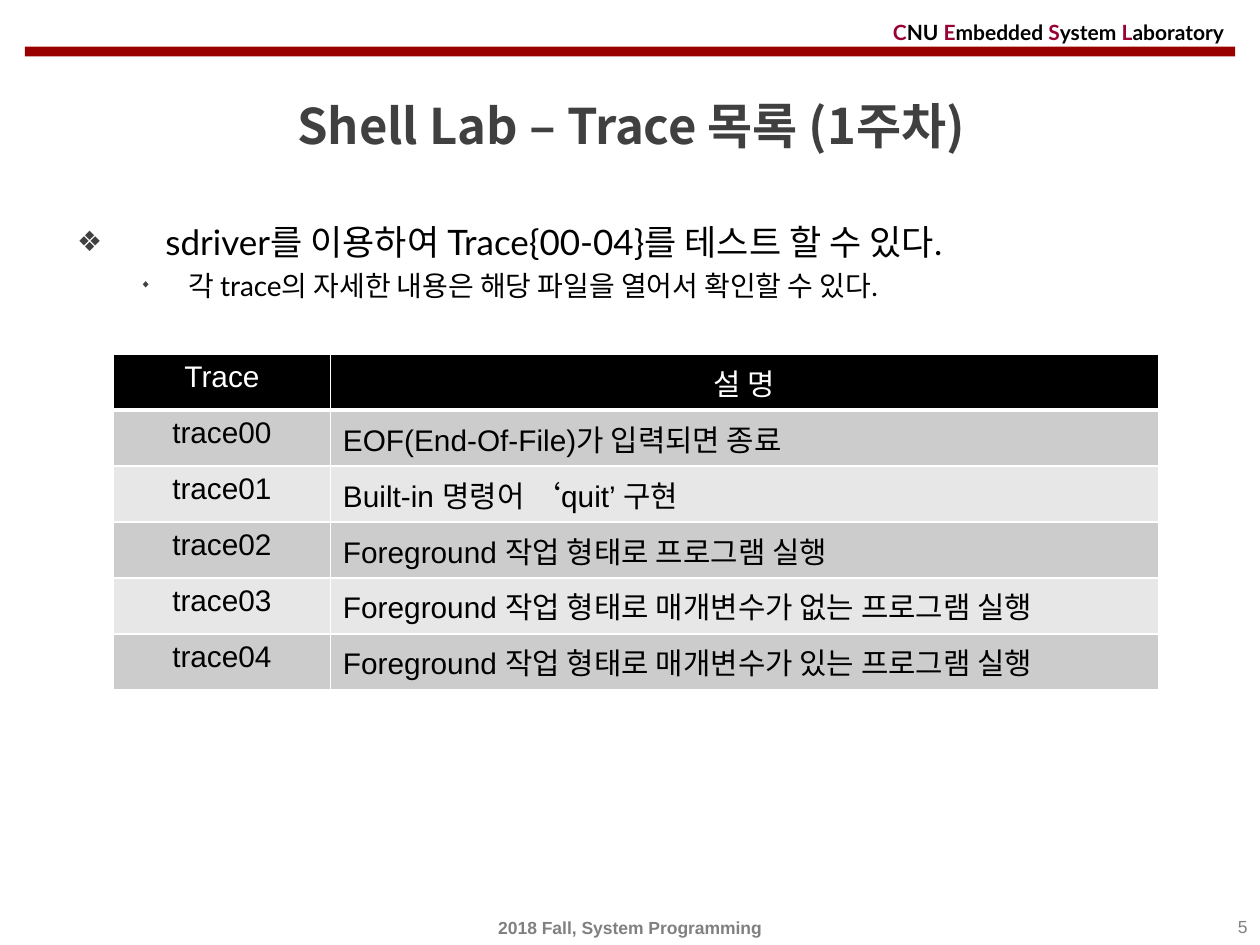
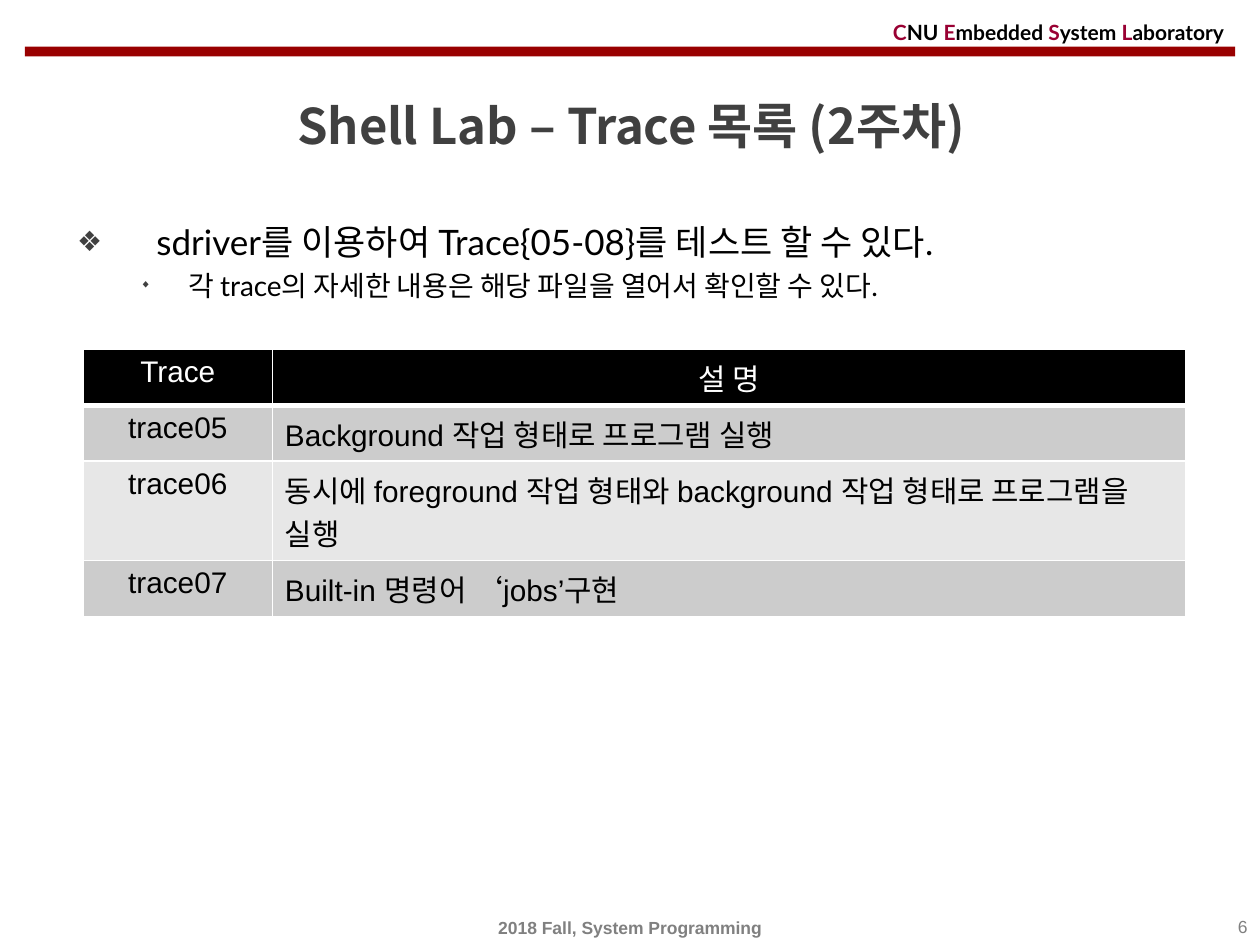
"""Build the two Shell Lab trace list slides."""
from dataclasses import dataclass

from lxml.etree import SubElement
from pptx import Presentation
from pptx.dml.color import RGBColor as Color
from pptx.enum.shapes import MSO_SHAPE as Shape
from pptx.enum.text import MSO_ANCHOR as Anchor, MSO_AUTO_SIZE as AutoSize, PP_ALIGN as Align
from pptx.oxml.ns import qn
from pptx.util import Cm, Pt


@dataclass(frozen=True)
class Theme:
    band: str = "990000"
    initial: str = "990033"
    heading: str = "404040"
    footer: str = "808080"
    ink: str = "000000"
    paper: str = "FFFFFF"
    stripes: tuple = ("E7E7E7", "CCCCCC")
    korean: str = "Noto Sans CJK KR"
    latin: str = "Lato"
    plain: str = "Arial"
    title_size: int = 28
    list_size: int = 20
    sublist_size: int = 16
    table_size: int = 17
    header_size: int = 12
    footer_size: int = 10


theme = Theme()


def write(paragraph, text, color, name, size, bold=False, alignment=None):
    if alignment is not None:
        paragraph.alignment = alignment
    run = paragraph.add_run()
    run.text = text
    for attribute, value in {"name": name, "size": Pt(size), "bold": bold}.items():
        setattr(run.font, attribute, value)
    run.font.color.rgb = Color.from_string(color)
    SubElement(run.font._element, qn("a:ea"), typeface=theme.korean)


def place(shape, left, top, width, height, anchor):
    box = {"left": left, "top": top, "width": width, "height": height}
    for attribute, value in box.items():
        setattr(shape, attribute, Cm(value))
    frame = shape.text_frame
    settings = {"word_wrap": True, "auto_size": AutoSize.NONE, "vertical_anchor": anchor}
    for attribute, value in settings.items():
        setattr(frame, attribute, value)
    return frame


lab_name = ("CNU", "Embedded", "System", "Laboratory")
footers = (
    {"left": 0, "width": 25.4, "anchor": Anchor.MIDDLE, "bold": True, "alignment": Align.CENTER},
    {"left": 19.48, "width": 5.92, "anchor": Anchor.TOP, "bold": False, "alignment": Align.RIGHT},
)
lessons = (
    {
        "week": 1, "number": 5, "traces": "00-04", "indent": 1.78,
        "left": 2.29, "top": 7.14, "columns": (4.37, 16.69),
        "rows": (
            ("trace00", "EOF(End-Of-File)가 입력되면 종료"),
            ("trace01", "Built-in 명령어 ‘quit’ 구현"),
            ("trace02", "Foreground 작업 형태로 프로그램 실행"),
            ("trace03", "Foreground 작업 형태로 매개변수가 없는 프로그램 실행"),
            ("trace04", "Foreground 작업 형태로 매개변수가 있는 프로그램 실행"),
        ),
    },
    {
        "week": 2, "number": 6, "traces": "05-08", "indent": 1.6,
        "left": 1.68, "top": 7.04, "columns": (3.81, 18.42),
        "rows": (
            ("trace05", "Background 작업 형태로 프로그램 실행"),
            ("trace06", "동시에 foreground 작업 형태와 background 작업 형태로 프로그램을 실행"),
            ("trace07", "Built-in 명령어 ‘jobs’구현"),
        ),
    },
)
row_height = 1.03

presentation = Presentation()
presentation.slide_width, presentation.slide_height = Cm(25.4), Cm(19.05)

for lesson in lessons:
    slide = presentation.slides.add_slide(presentation.slide_layouts[1])
    title, body = slide.placeholders

    band = slide.shapes.add_shape(Shape.RECTANGLE, Cm(0.5), Cm(0.94), Cm(24.4), Cm(0.2))
    band.shadow.inherit = False
    band.fill.solid()
    band.fill.fore_color.rgb = Color.from_string(theme.band)
    band.line.fill.background()

    header = slide.shapes.add_textbox(0, 0, 0, 0)
    paragraph = place(header, 17.75, 0.3, 7.65, 0.71, Anchor.MIDDLE).paragraphs[0]
    for word in lab_name:
        ending = "" if word == lab_name[-1] else " "
        for text, color in ((word[0], theme.initial), (word[1:] + ending, theme.ink)):
            write(paragraph, text, color, theme.latin, theme.header_size, bold=True)

    frame = place(title, 0.53, 1.52, 24.38, 2.01, Anchor.MIDDLE)
    write(frame.paragraphs[0], f"Shell Lab – Trace 목록 ({lesson['week']}주차)",
          theme.heading, theme.korean, theme.title_size, True, Align.CENTER)

    for footer, text in zip(footers, ("2018 Fall, System Programming", str(lesson["number"]))):
        box = slide.shapes.add_textbox(0, 0, 0, 0)
        frame = place(box, footer["left"], 18.34, footer["width"], 0.71, footer["anchor"])
        write(frame.paragraphs[0], text, theme.footer, theme.plain, theme.footer_size,
              footer["bold"], footer["alignment"])

    frame = place(body, 1.3, 4.32, 23.01, 13.41, Anchor.TOP)
    items = (
        (f"sdriver를 이용하여 Trace{{{lesson['traces']}}}를 테스트 할 수 있다.",
         theme.list_size, lesson["indent"], lesson["indent"], "❖", 80),
        ("각 trace의 자세한 내용은 해당 파일을 열어서 확인할 수 있다.",
         theme.sublist_size, 2.24, 0.97, "◆", 40),
    )
    for level, (text, size, margin, hanging, bullet, percent) in enumerate(items):
        paragraph = frame.add_paragraph() if level else frame.paragraphs[0]
        paragraph.level = level
        properties = paragraph._p.get_or_add_pPr()
        properties.set("marL", str(Cm(margin)))
        properties.set("indent", str(-Cm(hanging)))
        bullet_color = SubElement(properties, qn("a:buClr"))
        SubElement(bullet_color, qn("a:srgbClr"), val=theme.heading)
        SubElement(properties, qn("a:buSzPct"), val=str(percent * 1000))
        SubElement(properties, qn("a:buFont"), typeface=theme.plain)
        SubElement(properties, qn("a:buChar"), char=bullet)
        write(paragraph, text, theme.ink, theme.latin, size)

    rows = (("Trace", "설 명"), *lesson["rows"])
    columns = lesson["columns"]
    table = slide.shapes.add_table(
        len(rows), len(columns), Cm(lesson["left"]), Cm(lesson["top"]),
        Cm(sum(columns)), Cm(row_height * len(rows))).table
    for column, width in zip(table.columns, columns):
        column.width = Cm(width)
    for row_index, row in enumerate(rows):
        table.rows[row_index].height = Cm(row_height)
        is_header = row_index == 0
        fill = theme.ink if is_header else theme.stripes[row_index % 2]
        color = theme.paper if is_header else theme.ink
        for column_index, text in enumerate(row):
            cell = table.cell(row_index, column_index)
            properties = cell._tc.get_or_add_tcPr()
            for side in ("lnL", "lnR", "lnT", "lnB"):
                width = Pt(3) if is_header and side == "lnB" else Pt(1)
                border = SubElement(properties, qn(f"a:{side}"), w=str(width))
                border_fill = SubElement(border, qn("a:solidFill"))
                SubElement(border_fill, qn("a:srgbClr"), val=theme.paper)
            cell.fill.solid()
            cell.fill.fore_color.rgb = Color.from_string(fill)
            centred = is_header or column_index == 0
            write(cell.text_frame.paragraphs[0], text, color, theme.plain, theme.table_size,
                  alignment=Align.CENTER if centred else Align.LEFT)

presentation.save("out.pptx")
